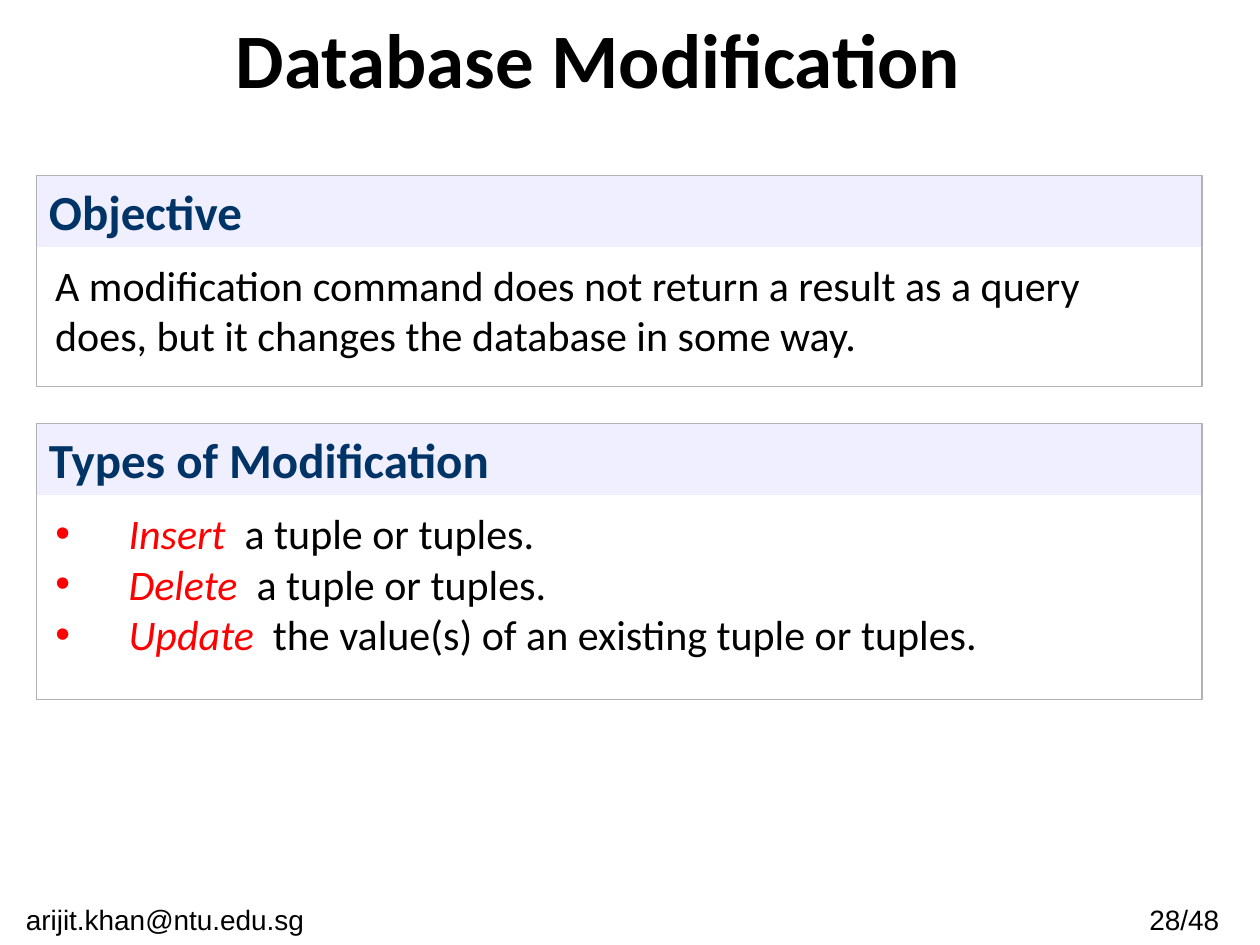
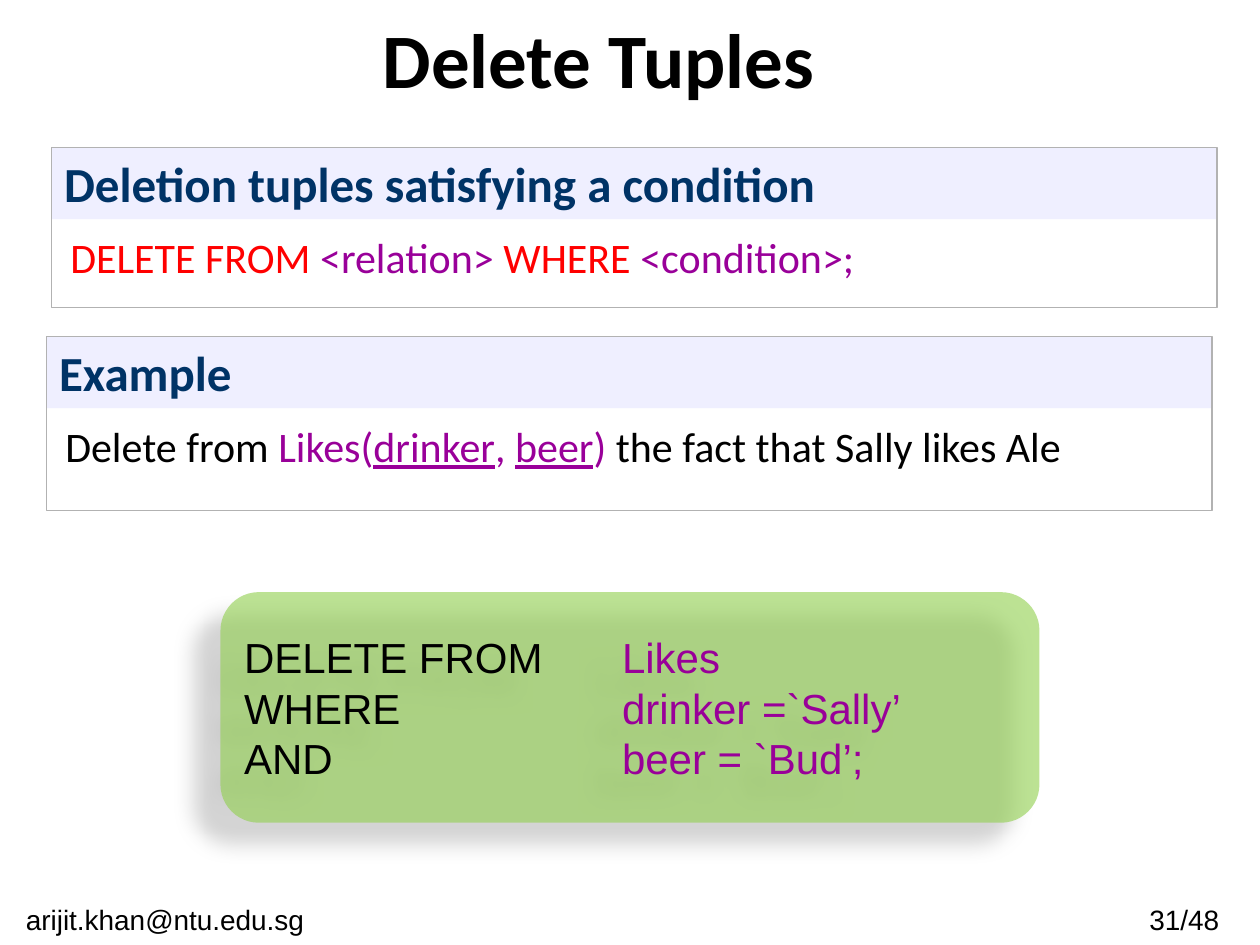
from dataclasses import dataclass

from lxml import etree
from pptx import Presentation
from pptx import util as u
from pptx.dml.color import RGBColor
from pptx.enum import shapes, text
from pptx.oxml.ns import qn


@dataclass(frozen=True)
class Theme:
    ink: str = "000000"
    heading: str = "003366"
    band: str = "EFEFFF"
    rule: str = "B2B2B2"
    keyword: str = "FF0000"
    name: str = "990099"
    code_fill: str = "92D050"
    font: str = "Calibri"
    plain_font: str = "Arial"
    title_size: int = 44
    heading_size: int = 28
    body_size: int = 24
    footer_size: int = 16


T = Theme()
PANEL_W = 9.25
BAND_H = 0.57
PAGES = 48


def rgb(value):
    return RGBColor.from_string(value)


def box(x, y, w, h):
    return [u.Inches(v) for v in (x, y, w, h)]


def add_element(parent, tag, **attributes):
    return etree.SubElement(parent, qn(tag), attributes)


def set_font(font, size, name=T.font, color=T.ink, bold=False):
    font.size = u.Pt(size)
    font.name = name
    font.bold = bold
    font.color.rgb = rgb(color)


def add_runs(p, runs):
    for words, color, *style in runs:
        r = p.add_run()
        r.text = words
        r.font.color.rgb = rgb(color)
        if "italic" in style:
            r.font.italic = True
        if "underline" in style:
            r.font.underline = True


def fill_lines(tf, lines, font=T.font, prepare=None):
    tf.word_wrap = True
    tf.auto_size = text.MSO_AUTO_SIZE.NONE
    for i, runs in enumerate(lines):
        p = tf.add_paragraph() if i else tf.paragraphs[0]
        p.alignment = text.PP_ALIGN.LEFT
        p.space_before = u.Pt(0)
        if prepare:
            prepare(p)
        set_font(p.font, T.body_size, font)
        add_runs(p, runs)


def add_bullet(p):
    pPr = p._p.get_or_add_pPr()
    indent = u.Inches(0.58)
    pPr.set("marL", str(indent))
    pPr.set("indent", str(-indent))
    add_element(add_element(pPr, "a:buClr"), "a:srgbClr", val=T.keyword)
    add_element(pPr, "a:buFont", typeface=T.plain_font)
    add_element(pPr, "a:buChar", char="•")


def add_code_tab(p):
    tabs = add_element(p._p.get_or_add_pPr(), "a:tabLst")
    add_element(tabs, "a:tab", pos=str(u.Inches(3)), algn="l")


def place(sp, x, y, w, h):
    sp.left, sp.top, sp.width, sp.height = box(x, y, w, h)


def add_title(s, words):
    sp = s.shapes.title
    place(sp, 0.25, 0.08, 9, 0.75)
    tf = sp.text_frame
    tf.text = words
    tf.auto_size = text.MSO_AUTO_SIZE.NONE
    tf.vertical_anchor = text.MSO_ANCHOR.MIDDLE
    p = tf.paragraphs[0]
    p.alignment = text.PP_ALIGN.CENTER
    set_font(p.font, T.title_size, bold=True)


def add_footer(s, page):
    items = (("arijit.khan@ntu.edu.sg", 0, 2.62), (f"{page}/{PAGES}", 8.82, 1.16))
    for words, x, w in items:
        tf = s.shapes.add_textbox(*box(x, 7.11, w, 0.39)).text_frame
        tf.word_wrap = True
        tf.text = words
        p = tf.paragraphs[0]
        p.alignment = text.PP_ALIGN.CENTER
        set_font(p.font, T.footer_size, T.plain_font)


def add_rect(s, x, y, w, h):
    sp = s.shapes.add_shape(shapes.MSO_SHAPE.RECTANGLE, *box(x, y, w, h))
    sp.shadow.inherit = False
    return sp


def add_panel(s, x, y, h, heading, lines, body=None):
    band = add_rect(s, x, y, PANEL_W, BAND_H)
    band.fill.solid()
    band.fill.fore_color.rgb = rgb(T.band)
    band.line.fill.background()
    tf = band.text_frame
    tf.text = heading
    tf.vertical_anchor = text.MSO_ANCHOR.TOP
    p = tf.paragraphs[0]
    p.alignment = text.PP_ALIGN.LEFT
    set_font(p.font, T.heading_size, color=T.heading, bold=True)

    frame = add_rect(s, x, y, PANEL_W, h)
    frame.fill.background()
    frame.line.color.rgb = rgb(T.rule)
    frame.line.width = u.Pt(0.75)

    body_box = (x + 0.05, y + 0.62, 9.17, 0.1 + 0.4 * len(lines))
    if body is None:
        sp = s.shapes.add_textbox(*box(*body_box))
        fill_lines(sp.text_frame, lines)
    else:
        place(body, *body_box)
        fill_lines(body.text_frame, lines, prepare=add_bullet)


def add_code_card(s, x, y, w, h, clauses):
    sp = s.shapes.add_shape(shapes.MSO_SHAPE.ROUNDED_RECTANGLE, *box(x, y, w, h))
    sp.shadow.inherit = False
    sp.fill.solid()
    sp.fill.fore_color.rgb = rgb(T.code_fill)
    sp.line.fill.background()
    spPr = sp._element.spPr
    fill_color = spPr.find(qn("a:solidFill")).find(qn("a:srgbClr"))
    add_element(fill_color, "a:alpha", val="61000")
    shadow = add_element(
        spPr.find(qn("a:effectLst")), "a:outerShdw",
        blurRad=str(u.Pt(11.8)), dist=str(u.Pt(19.7)), dir=str(141 * 60000),
        algn="ctr", rotWithShape="0")
    shadow_color = add_element(shadow, "a:srgbClr", val=T.ink)
    add_element(shadow_color, "a:alpha", val="28000")
    sp.text_frame.vertical_anchor = text.MSO_ANCHOR.MIDDLE
    lines = [[(f"{keyword}\t", T.ink), (operand, T.name)] for keyword, operand in clauses]
    fill_lines(sp.text_frame, lines, T.plain_font, add_code_tab)


def start_slide(prs, layout, title, page):
    s = prs.slides.add_slide(prs.slide_layouts.get_by_name(layout))
    add_title(s, title)
    add_footer(s, page)
    return s


def build_modification(prs):
    s = start_slide(prs, "Title and Content", "Database Modification", 28)
    add_panel(s, 0.29, 1.39, 1.68, "Objective", [
        [("A modification command does not return a result as a query", T.ink)],
        [("does, but it changes the database in some way.", T.ink)],
    ])
    actions = (
        ("Insert ", " a tuple or tuples."),
        ("Delete ", " a tuple or tuples."),
        ("Update ", " the value(s) of an existing tuple or tuples."),
    )
    lines = [[(verb, T.keyword, "italic"), (rest, T.ink)] for verb, rest in actions]
    add_panel(s, 0.29, 3.36, 2.19, "Types of Modification", lines, s.placeholders[1])


def build_deletion(prs):
    s = start_slide(prs, "Title Only", "Delete Tuples", 31)
    add_panel(s, 0.41, 1.17, 1.27, "Deletion tuples satisfying a condition", [[
        ("DELETE FROM ", T.keyword), ("<relation> ", T.name),
        ("WHERE ", T.keyword), ("<condition>;", T.name),
    ]])
    add_panel(s, 0.37, 2.67, 1.38, "Example", [[
        ("Delete from ", T.ink), ("Likes(", T.name),
        ("drinker", T.name, "underline"), (", ", T.name),
        ("beer", T.name, "underline"), (")", T.name),
        (" the fact that Sally likes Ale", T.ink),
    ]])
    add_code_card(s, 1.75, 4.7, 6.5, 1.83, (
        ("DELETE FROM", "Likes"),
        ("WHERE", "drinker =`Sally’"),
        ("AND", "beer = `Bud’;"),
    ))


def main():
    prs = Presentation()
    prs.slide_width, prs.slide_height = u.Inches(10), u.Inches(7.5)
    build_modification(prs)
    build_deletion(prs)
    prs.save("out.pptx")


if __name__ == "__main__":
    main()
